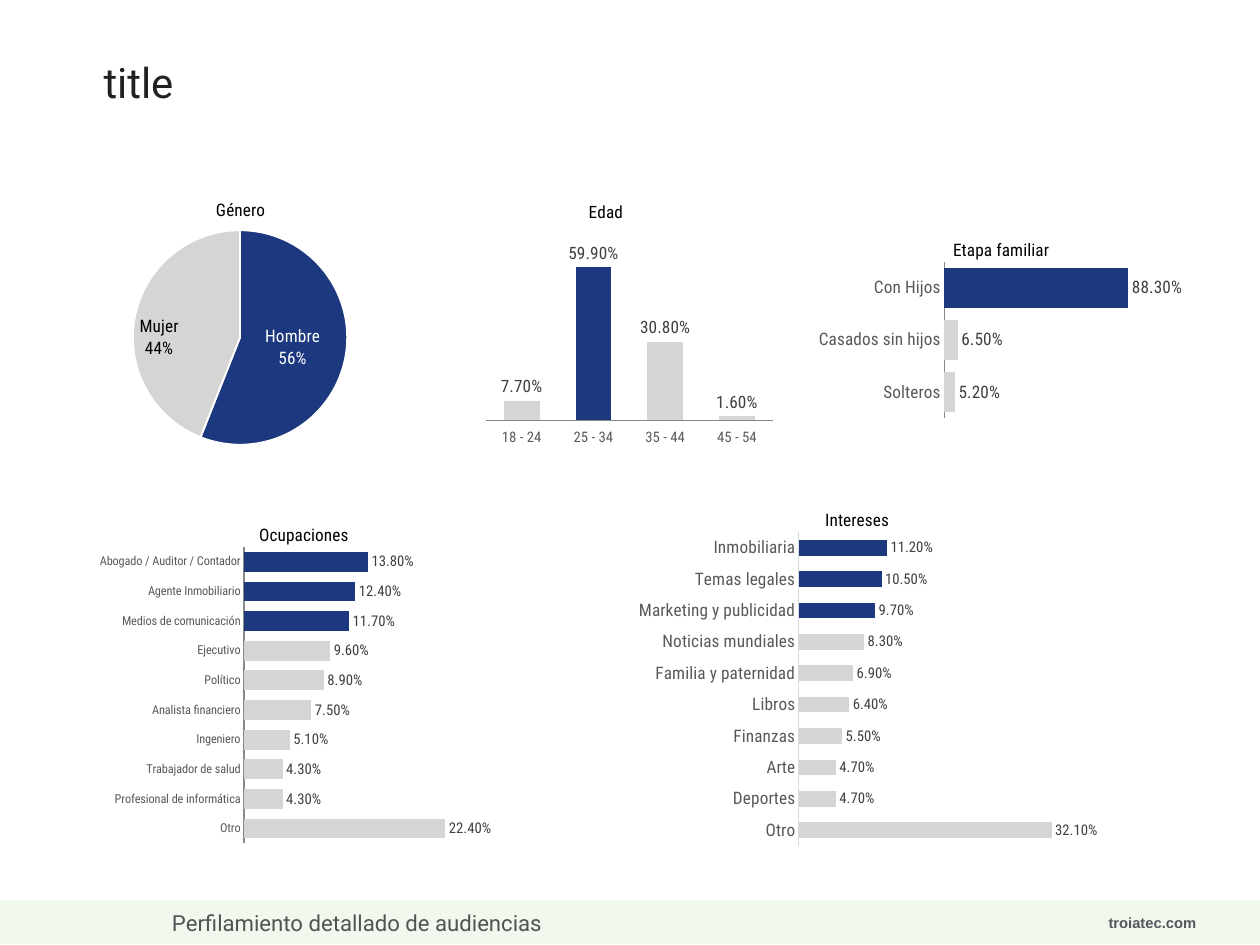
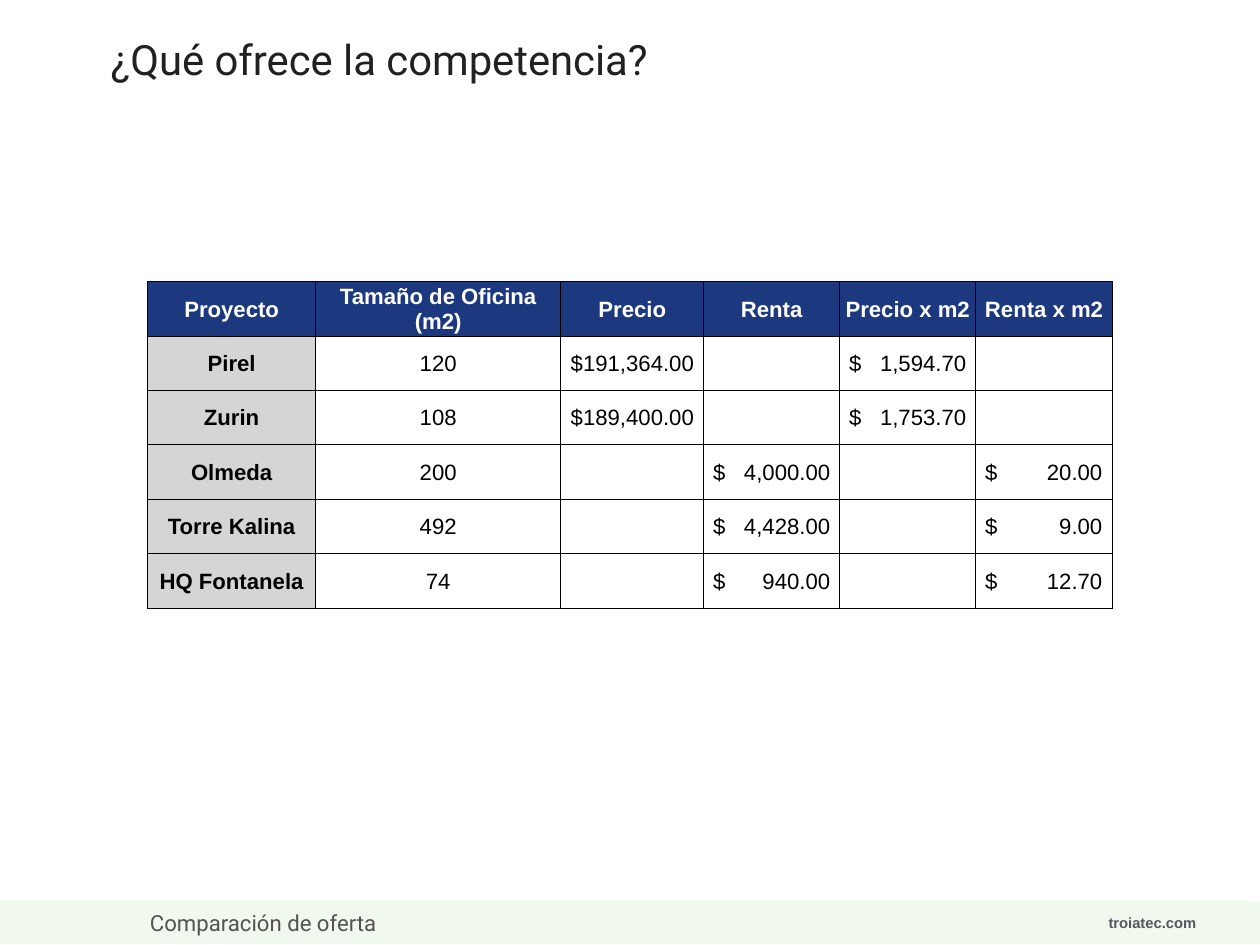
from lxml.etree import SubElement
from pptx import Presentation
from pptx.chart.data import CategoryChartData
from pptx.dml.color import RGBColor
from pptx.enum.chart import XL_CHART_TYPE as Kind, XL_LABEL_POSITION as LabelSpot
from pptx.enum.chart import XL_TICK_LABEL_POSITION as TickSpot, XL_TICK_MARK as Tick
from pptx.enum.shapes import MSO_SHAPE
from pptx.enum.text import MSO_ANCHOR as Anchor, PP_ALIGN as Align
from pptx.oxml import parse_xml
from pptx.oxml.ns import nsdecls, qn
from pptx.util import Cm, Pt

NAVY = RGBColor(0x1C, 0x38, 0x7E)
SILVER = RGBColor(0xD6, 0xD5, 0xD5)
MINT = RGBColor(0xF1, 0xF8, 0xEE)
WHITE = RGBColor(0xFF, 0xFF, 0xFF)
BLACK = RGBColor(0x00, 0x00, 0x00)
TITLE_INK = RGBColor(0x21, 0x21, 0x21)
FOOTER_INK = RGBColor(0x53, 0x53, 0x53)
SITE_INK = RGBColor(0x53, 0x58, 0x5F)
TICK_INK = RGBColor(0x59, 0x59, 0x59)
LABEL_INK = RGBColor(0x40, 0x40, 0x40)
AXIS_GRAY = RGBColor(0x88, 0x88, 0x88)
AXIS_PALE = RGBColor(0xD9, 0xD9, 0xD9)
SANS, ROBOTO, CONDENSED = "Arial", "Roboto", "Roboto Condensed"


def style(font, size, name, color, bold=False):
    font.size, font.name, font.bold = Pt(size), name, bold
    font.color.rgb = color


def set_layout(parent, index, **settings):
    for old in parent.findall(qn("c:layout")):
        parent.remove(old)
    layout = parse_xml(f"<c:layout {nsdecls('c')}><c:manualLayout/></c:layout>")
    for key, value in settings.items():
        SubElement(layout[0], qn(f"c:{key}"), val=str(value))
    parent.insert(index, layout)


deck = Presentation()
deck.slide_width, deck.slide_height = Cm(36.12), Cm(27.1)
title_only = deck.slide_layouts[5]
for holder in list(title_only.placeholders):
    if holder.placeholder_format.idx:
        holder.element.getparent().remove(holder.element)

pages = []
for title, title_box, footer, footer_left in [
    ("title", (2.87, 1.5, 28.12, 1.68), "Perfilamiento detallado de audiencias", 4.85),
    ("¿Qué ofrece la competencia?", (3.07, 0.87, 18.75, 1.65), "Comparación de oferta", 4.22),
]:
    page = deck.slides.add_slide(title_only)
    heading = page.shapes.title
    heading.left, heading.top, heading.width, heading.height = map(Cm, title_box)

    if not pages:
        band = page.shapes.add_shape(
            MSO_SHAPE.RECTANGLE, Cm(-0.03), Cm(25.83), Cm(36.17), Cm(1.24))
        band.shadow.inherit = False
        band.fill.solid()
        band.fill.fore_color.rgb = MINT
        band.line.fill.background()
        site = page.shapes.add_textbox(Cm(31.73), Cm(26.15), Cm(2.64), Cm(0.64))
        site.text_frame.word_wrap = False
        texts = [(site, "troiatec.com", 0.05, Anchor.MIDDLE, (12, SANS, SITE_INK, True))]
    else:
        texts = []

    note = page.shapes.add_textbox(Cm(footer_left), Cm(26), Cm(15.37), Cm(0.94))
    note.text_frame.word_wrap = True
    texts += [
        (heading, title, 0.1, Anchor.MIDDLE, (34, ROBOTO, TITLE_INK)),
        (note, footer, 0.08, Anchor.TOP, (18, ROBOTO, FOOTER_INK)),
    ]
    for box, text, margin, anchor, look in texts:
        frame = box.text_frame
        frame.margin_left = frame.margin_right = Cm(margin)
        frame.margin_top = frame.margin_bottom = Cm(margin)
        frame.vertical_anchor = anchor
        para = frame.paragraphs[0]
        para.alignment = Align.LEFT
        span = para.add_run()
        span.text = text
        style(span.font, *look)

    if not pages:
        for shared in (band, site):
            title_only.shapes.element.append(shared.element)
    pages.append(page)

profile, offers = pages

charts = [
    dict(title="Género", title_left=0.38, kind=Kind.PIE, box=(3.73, 5.59, 6.25, 7.24),
         plot=(0.01, 0.14, 0.99, 0.85), accents=[0], label_size=14,
         data={"Hombre": 56, "Mujer": 44}),
    dict(title="Etapa familiar", title_left=0.37, kind=Kind.BAR_CLUSTERED,
         box=(22.99, 6.73, 11.46, 5.41),
         plot=(0.356, 0.143, 0.522, 0.831), accents=[0], label_size=14, tick_size=14,
         axis=AXIS_GRAY, top=1, step=0.2, gap=30, overlap=0,
         data={"Con Hijos": 0.883, "Casados sin hijos": 0.065, "Solteros": 0.052}),
    dict(title="Edad", title_left=0.37, kind=Kind.COLUMN_CLUSTERED,
         box=(13.61, 5.64, 8.59, 7.16),
         plot=(0.037, 0.131, 0.958, 0.777), accents=[1], label_size=14, tick_size=12,
         axis=AXIS_GRAY, top=0.75, step=0.125, gap=100, overlap=-25,
         data={"18 - 24": 0.077, "25 - 34": 0.599, "35 - 44": 0.308, "45 - 54": 0.016}),
    dict(title="Ocupaciones", title_left=0.4, kind=Kind.BAR_CLUSTERED,
         box=(1.88, 14.91, 13.64, 9.47),
         plot=(0.375, 0.082, 0.567, 0.898), accents=[0, 1, 2], label_size=12, tick_size=10,
         axis=AXIS_GRAY, top=0.3, step=0.1, gap=50, overlap=0,
         data={"Abogado / Auditor / Contador": 0.138, "Agente Inmobiliario": 0.124,
               "Medios de comunicación": 0.117, "Ejecutivo": 0.096, "Político": 0.089,
               "Analista financiero": 0.075, "Ingeniero": 0.051,
               "Trabajador de salud": 0.043, "Profesional de informática": 0.043,
               "Otro": 0.224}),
    dict(title="Intereses", title_left=0.44, kind=Kind.BAR_CLUSTERED,
         box=(16.76, 14.48, 15.47, 9.98),
         plot=(0.397, 0.078, 0.584, 0.902), accents=[0, 1, 2], label_size=12, tick_size=14,
         axis=AXIS_PALE, top=0.4, step=0.1, gap=100, overlap=-25,
         data={"Inmobiliaria": 0.112, "Temas legales": 0.105,
               "Marketing y publicidad": 0.097, "Noticias mundiales": 0.083,
               "Familia y paternidad": 0.069, "Libros": 0.064, "Finanzas": 0.055,
               "Arte": 0.047, "Deportes": 0.047, "Otro": 0.321}),
]

for plan in charts:
    is_pie = plan["kind"] == Kind.PIE
    data = CategoryChartData(number_format="General" if is_pie else "0.00%")
    data.categories = list(plan["data"])
    data.add_series(plan["title"] if is_pie else "Series 1", list(plan["data"].values()))
    chart = profile.shapes.add_chart(plan["kind"], *map(Cm, plan["box"]), data).chart
    style(chart.font, 10, ROBOTO, BLACK)
    chart.has_legend = False
    chart.has_title = True
    span = chart.chart_title.text_frame.paragraphs[0].add_run()
    span.text = plan["title"]
    style(span.font, 14, CONDENSED, BLACK)

    title_node = chart.element.find(".//" + qn("c:title"))
    title_node.find(qn("c:overlay")).set("val", "1")
    set_layout(title_node, 1, xMode="edge", yMode="edge", x=plan["title_left"], y=0)
    x, y, w, h = plan["plot"]
    set_layout(chart.element.find(".//" + qn("c:plotArea")), 0, layoutTarget="inner",
               xMode="edge", yMode="edge", x=x, y=y, w=w, h=h)

    plot = chart.plots[0]
    plot.vary_by_categories = False
    series = plot.series[0]
    series.format.fill.solid()
    series.format.fill.fore_color.rgb = SILVER
    for index in range(len(plan["data"])):
        fill = series.points[index].format.fill
        fill.solid()
        fill.fore_color.rgb = NAVY if index in plan["accents"] else SILVER

    labels = series.data_labels
    labels.number_format = "0%" if is_pie else "0.00%"
    labels.number_format_is_linked = False
    labels.position = LabelSpot.CENTER if is_pie else LabelSpot.OUTSIDE_END
    style(labels.font, plan["label_size"], CONDENSED, BLACK if is_pie else LABEL_INK)

    if is_pie:
        labels.show_value = False
        labels.show_percentage = labels.show_category_name = True
        for index, ink in enumerate((WHITE, BLACK)):
            point = series.points[index]
            point.format.line.color.rgb = WHITE
            point.format.line.width = Pt(1.5)
            style(point.data_label.font, 14, CONDENSED, ink)
            point.data_label.position = LabelSpot.CENTER
        label_nodes = list(chart.element.iter(qn("c:dLbl")))
        for node in label_nodes:
            for flag, shown in (("showVal", 0), ("showCatName", 1), ("showPercent", 1)):
                node.find(qn(f"c:{flag}")).set("val", str(shown))
            SubElement(node, qn("c:separator")).text = "\n"
        set_layout(label_nodes[1], 1, x=-0.13, y=0.04)
        continue

    labels.show_value = True
    plot.gap_width, plot.overlap = plan["gap"], plan["overlap"]
    names, values = chart.category_axis, chart.value_axis
    is_bar = plan["kind"] == Kind.BAR_CLUSTERED
    names.reverse_order = is_bar
    names.tick_label_position = TickSpot.NEXT_TO_AXIS if is_bar else TickSpot.LOW
    style(names.tick_labels.font, plan["tick_size"], CONDENSED, TICK_INK)
    names.format.line.color.rgb = plan["axis"]
    names.format.line.width = Pt(1)
    values.minimum_scale, values.maximum_scale = 0, plan["top"]
    values.major_unit = plan["step"]
    values.tick_label_position = TickSpot.NONE
    values.format.line.fill.background()
    for axis in (names, values):
        axis.has_major_gridlines = False
        axis.major_tick_mark = axis.minor_tick_mark = Tick.NONE

rows = [
    ("Proyecto", "Tamaño de Oficina (m2)", "Precio", "Renta", "Precio x m2", "Renta x m2"),
    ("Pirel", "120", "$191,364.00", "", "$\t1,594.70", ""),
    ("Zurin", "108", "$189,400.00", "", "$\t1,753.70", ""),
    ("Olmeda", "200", "", "$\t4,000.00", "", "$\t20.00"),
    ("Torre Kalina", "492", "", "$\t4,428.00", "", "$\t9.00"),
    ("HQ Fontanela", "74", "", "$\t940.00", "", "$\t12.70"),
]
widths = [4.8, 7.04, 4.09, 3.9, 3.9, 3.92]
row_height = 1.56
holder = offers.shapes.add_table(len(rows), len(widths), Cm(4.24), Cm(8.08),
                                 Cm(sum(widths)), Cm(row_height * len(rows)))
table = holder.table
for column, width in zip(table.columns, widths):
    column.width = Cm(width)
for r, row in enumerate(rows):
    table.rows[r].height = Cm(row_height)
    for c, text in enumerate(row):
        cell = table.cell(r, c)
        cell.fill.solid()
        cell.fill.fore_color.rgb = NAVY if r == 0 else SILVER if c == 0 else WHITE
        cell.vertical_anchor = Anchor.MIDDLE
        cell.margin_left = cell.margin_right = cell.margin_top = Cm(0.03)
        cell.margin_bottom = 0
        para = cell.text_frame.paragraphs[0]
        para.alignment = Align.CENTER
        if "\t" in text:
            para.alignment = Align.LEFT
            cell.margin_left = Cm(0.27)
            tabs = SubElement(para._p.get_or_add_pPr(), qn("a:tabLst"))
            SubElement(tabs, qn("a:tab"), pos=str(Cm(3.36)), algn="r")
        if text:
            span = para.add_run()
            span.text = text
            style(span.font, 18, SANS, WHITE if r == 0 else BLACK, r == 0 or c == 0)

for cell_node in holder.element.iter(qn("a:tcPr")):
    for index, side in enumerate(("lnL", "lnR", "lnT", "lnB")):
        cell_node.insert(index, parse_xml(
            f'<a:{side} {nsdecls("a")} w="{Pt(1)}"><a:solidFill>'
            f'<a:srgbClr val="{BLACK}"/></a:solidFill></a:{side}>'))

deck.save("out.pptx")
